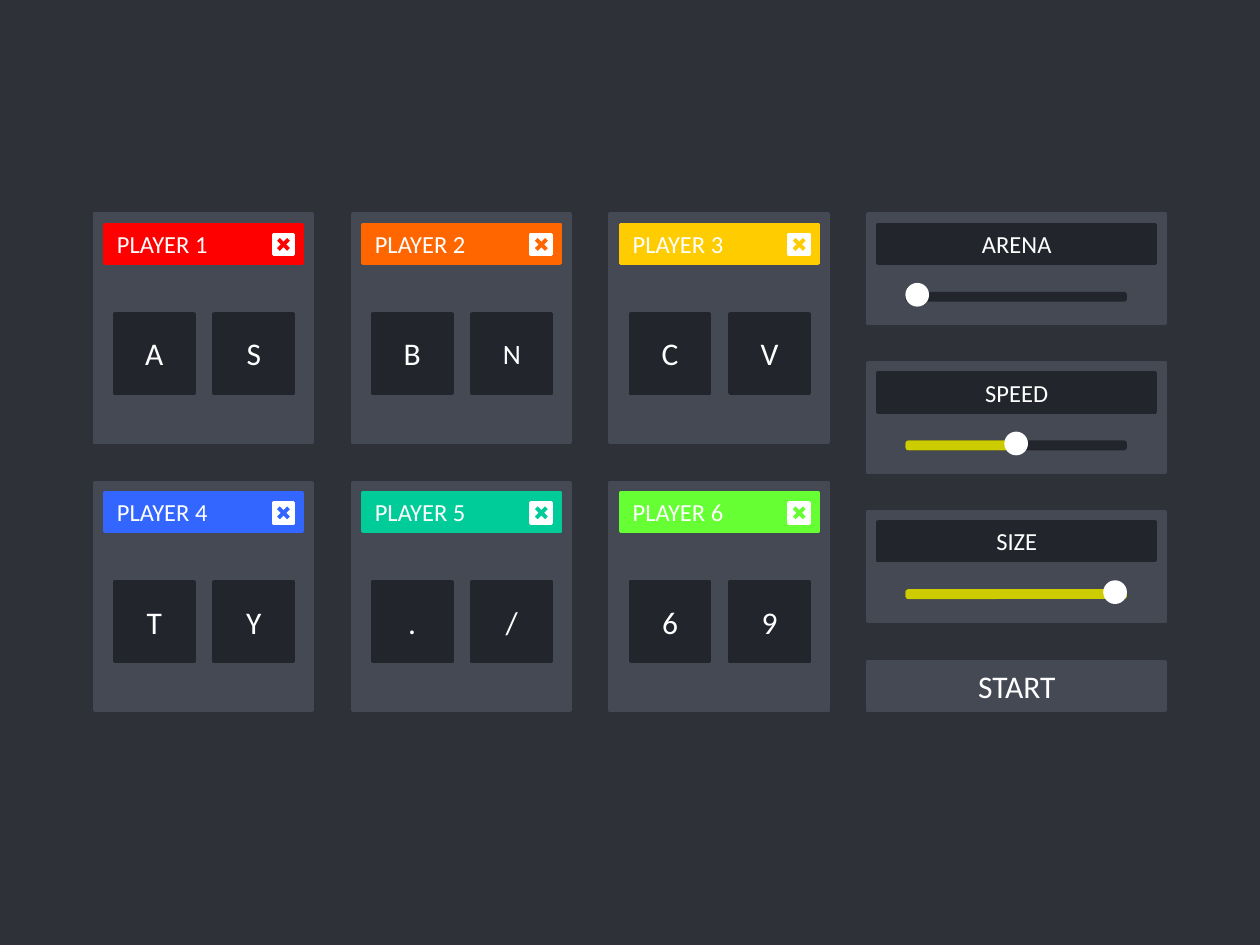
"""Build the game lobby slide: six player cards, three setting sliders and a start button."""
from lxml import etree
from pptx import Presentation
from pptx.dml.color import RGBColor
from pptx.enum.shapes import MSO_CONNECTOR, MSO_SHAPE as SHAPE
from pptx.enum.text import MSO_ANCHOR, PP_ALIGN as ALIGN
from pptx.oxml.ns import qn
from pptx.util import Inches, Pt

BACKDROP = RGBColor(0x2E, 0x31, 0x38)
PANEL = RGBColor(0x45, 0x49, 0x54)
DARK = RGBColor(0x22, 0x25, 0x2C)
WHITE = RGBColor(0xFF, 0xFF, 0xFF)
LEVEL = RGBColor(0xCC, 0xCC, 0x00)
RED = RGBColor(0xFF, 0x00, 0x00)
ORANGE = RGBColor(0xFF, 0x66, 0x00)
YELLOW = RGBColor(0xFF, 0xCC, 0x00)
BLUE = RGBColor(0x33, 0x66, 0xFF)
TEAL = RGBColor(0x00, 0xCC, 0x99)
GREEN = RGBColor(0x66, 0xFF, 0x33)

LEFT, TOP = 0.75, 1.7
SETTINGS_LEFT, SETTINGS_WIDTH = 6.89, 2.36
COLUMN_STEP = (SETTINGS_LEFT - LEFT) / 3
ROW_STEP, SETTING_STEP = 2.13, 1.18
CARD_WIDTH, CARD_HEIGHT = 1.73, 1.81
PAD, HEADER_HEIGHT = 0.08, 0.31
KEY_SIZE, KEY_STEP = 0.63, 0.79
KNOB, TRACK_HEIGHT = 0.16, 0.05

players = [
    ("PLAYER 1", RED, "AS"),
    ("PLAYER 2", ORANGE, "BN"),
    ("PLAYER 3", YELLOW, "CV"),
    ("PLAYER 4", BLUE, "TY"),
    ("PLAYER 5", TEAL, "./"),
    ("PLAYER 6", GREEN, "69"),
]
settings = [("ARENA", 0), ("SPEED", 0.5), ("SIZE", 1)]


def add_block(shapes, color, x, y, width, height, kind=SHAPE.RECTANGLE):
    block = shapes.add_shape(kind, Inches(x), Inches(y), Inches(width), Inches(height))
    block.shadow.inherit = False
    block.fill.solid()
    block.fill.fore_color.rgb = color
    block.line.color.rgb = color
    block.line.width = Pt(2)
    return block


def write(block, text, size=18, align=ALIGN.CENTER):
    frame = block.text_frame
    frame.word_wrap = True
    frame.vertical_anchor = MSO_ANCHOR.MIDDLE
    paragraph = frame.paragraphs[0]
    paragraph.alignment = align
    run = paragraph.add_run()
    run.text = text
    run.font.name = "Calibri"
    run.font.size = Pt(size)
    run.font.color.rgb = WHITE


prs = Presentation()
prs.slide_width, prs.slide_height = Inches(10), Inches(7.5)
slide = prs.slides.add_slide(prs.slide_layouts[6])
slide.background.fill.solid()
slide.background.fill.fore_color.rgb = BACKDROP
shapes = slide.shapes

for index, (player, color, keys) in enumerate(players):
    row, column = divmod(index, 3)
    x, y = LEFT + column * COLUMN_STEP, TOP + row * ROW_STEP
    add_block(shapes, PANEL, x, y, CARD_WIDTH, CARD_HEIGHT)
    header = add_block(shapes, color, x + PAD, y + PAD, CARD_WIDTH - 2 * PAD, HEADER_HEIGHT)
    write(header, player, size=14, align=ALIGN.LEFT)

    close = shapes.add_group_shape().shapes
    add_block(close, WHITE, x + 1.42, y + 0.16, 0.16, 0.16)
    near, far = Inches(x + 1.46), Inches(x + 1.54)
    high, low = Inches(y + 0.2), Inches(y + 0.28)
    for start, end in ((low, high), (high, low)):
        stroke = close.add_connector(MSO_CONNECTOR.STRAIGHT, far, start, near, end)
        stroke.line.color.rgb = color
        stroke.line.width = Pt(2.25)
        etree.SubElement(stroke._element.spPr, qn("a:effectLst"))

    for position, letter in enumerate(keys):
        key = add_block(shapes, DARK, x + 0.16 + position * KEY_STEP, y + 0.79, KEY_SIZE, KEY_SIZE)
        write(key, letter, size=16 if letter == "N" else 18)

for index, (setting, value) in enumerate(settings):
    y = TOP + index * SETTING_STEP
    add_block(shapes, PANEL, SETTINGS_LEFT, y, SETTINGS_WIDTH, 0.87)
    header = add_block(shapes, DARK, SETTINGS_LEFT + PAD, y + PAD,
                       SETTINGS_WIDTH - 2 * PAD, HEADER_HEIGHT)
    write(header, setting, size=14)

    track_left, track_width = SETTINGS_LEFT + 0.31, 1.73
    for color, share in ((DARK, 1), (LEVEL, value)):
        if share:
            add_block(shapes, color, track_left, y + 0.63, track_width * share, TRACK_HEIGHT,
                      kind=SHAPE.ROUNDED_RECTANGLE)
    add_block(shapes, WHITE, track_left + value * (track_width - KNOB), y + 0.56, KNOB, KNOB,
              kind=SHAPE.OVAL)

start_button = add_block(shapes, PANEL, SETTINGS_LEFT, 5.25, SETTINGS_WIDTH, 0.39)
write(start_button, "START")

prs.save("out.pptx")
